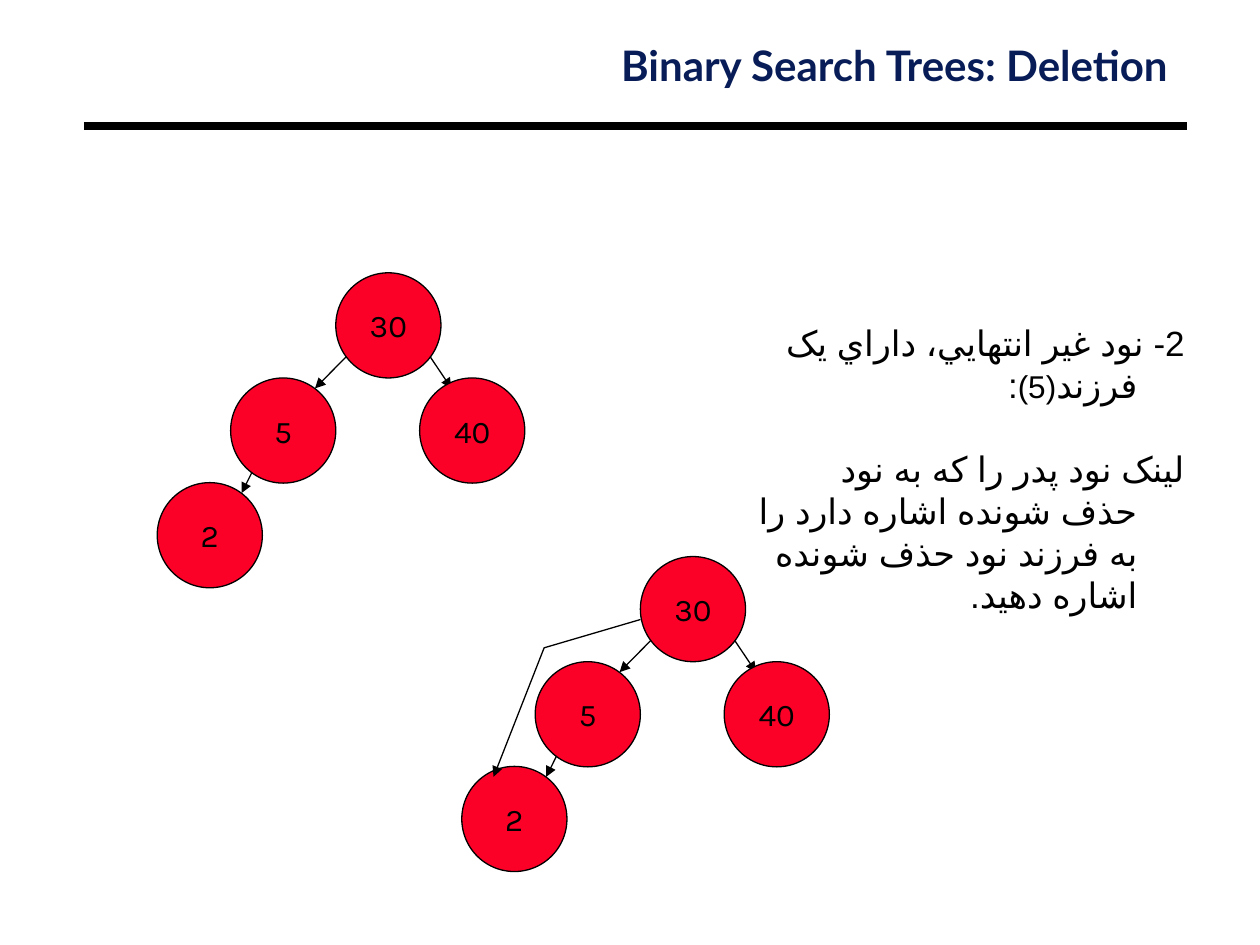
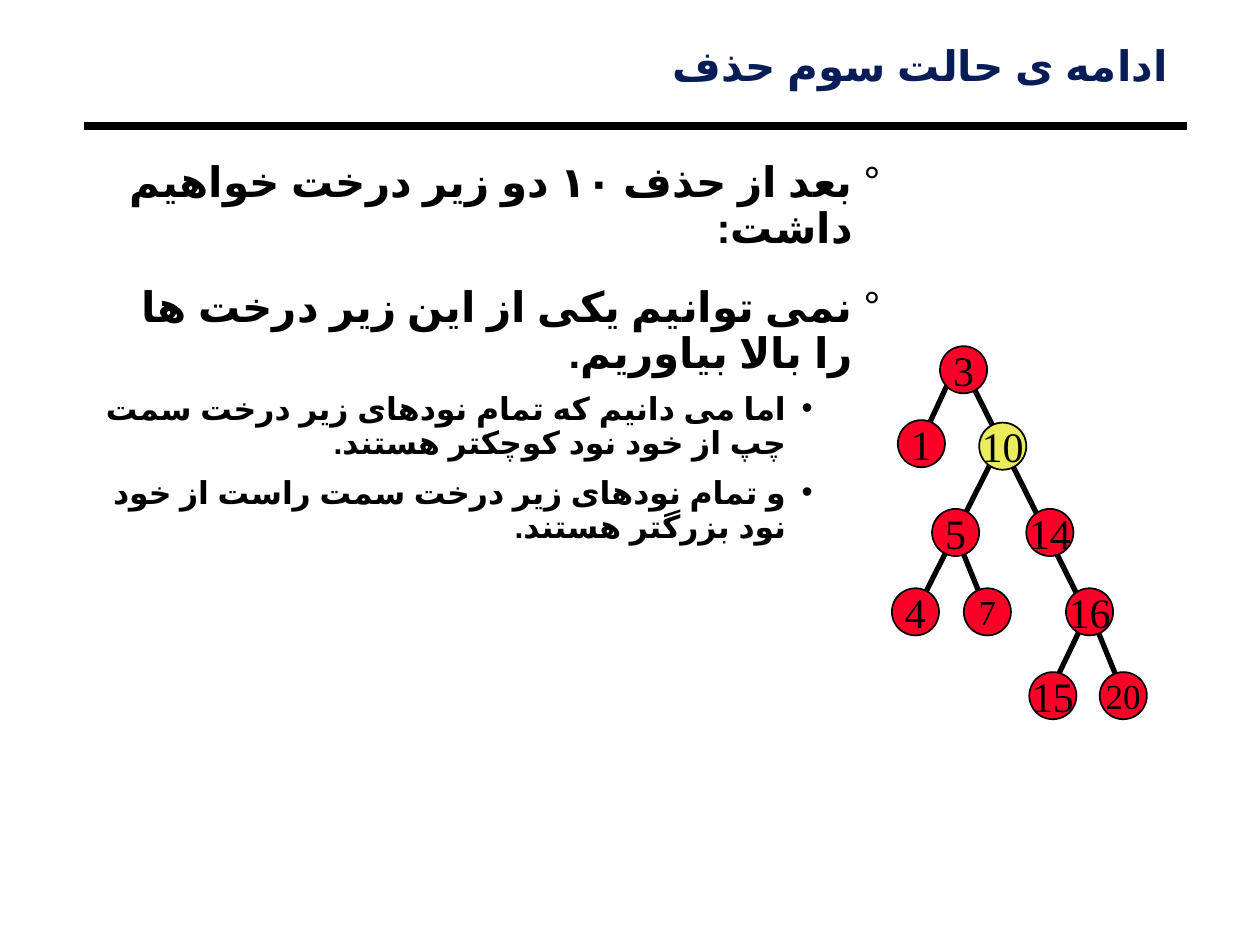
from lxml.etree import SubElement
from pptx import Presentation
from pptx.dml.color import RGBColor
from pptx.enum.shapes import MSO_CONNECTOR, MSO_SHAPE
from pptx.enum.text import MSO_ANCHOR, MSO_AUTO_SIZE, PP_ALIGN
from pptx.oxml.ns import qn
from pptx.util import Cm, Pt

NAVY = RGBColor(0x08, 0x1D, 0x58)
BLACK = RGBColor(0, 0, 0)
RED = RGBColor(0xFC, 0x01, 0x28)
YELLOW = RGBColor(0xEA, 0xEC, 0x5E)

# Root-relative places, in cm, of the small deletion tree
ROOTS = [(6.77, 5.5), (12.91, 11.22)]
LEFT = [("30", 0, 0), ("5", -2.12, 2.12), ("2", -3.6, 4.23)]
RIGHT = ("40", 1.69, 2.12)
ARROWS = [(0.21, 1.69, -0.42, 2.33), (1.9, 1.69, 2.33, 2.33),
          (-1.69, 4.02, -1.9, 4.44)]
BYPASS = [(0, 1.27), (-1.94, 1.84), (-2.96, 4.44)]

EDGES = [(19.25, 7.42, 18.42, 9.22), (22.02, 12.45, 22.66, 14.02),
         (22.02, 12.17, 21.16, 13.97), (20.07, 9.14, 18.47, 12.32),
         (19.25, 10.74, 19.89, 12.32), (19.48, 7.52, 21.97, 12.5)]
NODES = [("10", 19.74, 8.52), ("5", 18.79, 10.26), ("14", 20.69, 10.26),
         ("4", 17.98, 11.86), ("7", 19.43, 11.86), ("16", 21.49, 11.86),
         ("15", 20.75, 13.55), ("20", 22.17, 13.55), ("1", 18.1, 8.47),
         ("3", 18.95, 6.98)]

CASE = [
    [("2- نود غير انتهايي، داراي يک فرزند", 20, "Karla"),
     ("(5)", 18, "Arial"), (":", 20, "Karla")],
    [("لينک نود پدر را که به نود حذف شونده اشاره دارد را به فرزند ", 20, "Karla"),
     ("نود حذف شونده اشاره دهيد.", 20, "Arial")],
]
POINTS = [
    (0, "بعد از حذف ۱۰ دو زیر درخت خواهیم داشت:"),
    (0, "نمی توانیم یکی از این زیر درخت ها را بالا بیاوریم."),
    (1, "اما می دانیم که تمام نودهای زیر درخت سمت چپ از خود نود کوچکتر هستند."),
    (1, "و تمام نودهای زیر درخت سمت راست از خود نود بزرگتر هستند."),
]
# Per level: margin, hanging indent, space before, size, bullet
LEVELS = [(0.56, 0.56, 19.5, 24, "°"), (1.9, 0.53, 9, 18, "•")]


class Deck:
    def __init__(self):
        self.prs = Presentation()
        self.prs.slide_width, self.prs.slide_height = Cm(25.4), Cm(19.05)

    def start(self, title):
        """Add a slide with its title and the rule below it."""
        slide = self.prs.slides.add_slide(self.prs.slide_layouts[5])
        self.shapes = slide.shapes
        head = self.shapes.title
        head.left, head.top, head.width, head.height = (
            Cm(1.7), Cm(0.86), Cm(22.02), Cm(1.05))
        frame = head.text_frame
        self.inset(frame, 0.18, 0.08)
        frame.auto_size = MSO_AUTO_SIZE.SHAPE_TO_FIT_TEXT
        frame.text = title
        para = frame.paragraphs[0]
        self.rtl(para)
        para.line_spacing = 0.87
        self.style(para.runs[0], 24, "Lato", NAVY, True)
        self.line((1.69, 2.54, 23.92, 2.54), 4.5)

    def inset(self, frame, side, top):
        frame.margin_left = frame.margin_right = Cm(side)
        frame.margin_top = frame.margin_bottom = Cm(top)
        frame.vertical_anchor = MSO_ANCHOR.TOP
        frame.word_wrap = True

    def style(self, run, size, face, color=BLACK, bold=False):
        font = run.font
        font.size, font.name, font.bold = Pt(size), face, bold
        font.color.rgb = color
        props = run._r.get_or_add_rPr()
        props.set("lang", "fa-IR")
        SubElement(props, qn("a:cs"), typeface="Arial")

    def rtl(self, para, margin=0, hang=0):
        para.alignment = PP_ALIGN.RIGHT
        props = para._p.get_or_add_pPr()
        props.set("rtl", "1")
        props.set("marL", str(Cm(margin)))
        props.set("indent", str(-Cm(hang)))
        return props

    def bullet(self, props, mark):
        color = SubElement(props, qn("a:buClr"))
        SubElement(color, qn("a:srgbClr"), val=str(BLACK))
        SubElement(props, qn("a:buFont"), typeface="Arial")
        SubElement(props, qn("a:buChar"), char=mark)

    def box(self, x, y, w, h, side=0.25, top=0.13):
        frame = self.shapes.add_textbox(Cm(x), Cm(y), Cm(w), Cm(h)).text_frame
        self.inset(frame, side, top)
        return frame

    def paras(self, frame, items):
        """Yield each item with a paragraph of its own."""
        for i, item in enumerate(items):
            yield i, item, frame.add_paragraph() if i else frame.paragraphs[0]

    def prose(self, frame, items):
        for i, parts, para in self.paras(frame, items):
            self.rtl(para, 0.95, 0.95)
            if i:
                para.space_before = Pt(24)
            for text, size, face in parts:
                run = para.add_run()
                run.text = text
                self.style(run, size, face)

    def points(self, frame, items):
        for i, (level, text), para in self.paras(frame, items):
            margin, hang, gap, size, mark = LEVELS[level]
            para.text = text
            para.level = level
            self.bullet(self.rtl(para, margin, hang), mark)
            para.line_spacing = 0.9
            para.space_before = Pt(gap if i else 0)
            self.style(para.runs[0], size, "Roboto", bold=True)

    def stroke(self, line, width, arrow=False):
        line.color.rgb = BLACK
        line.width = Pt(width)
        if arrow:
            SubElement(line._get_or_add_ln(), qn("a:tailEnd"), type="triangle")

    def line(self, ends, width, arrow=False):
        link = self.shapes.add_connector(
            MSO_CONNECTOR.STRAIGHT, *[Cm(v) for v in ends])
        self.stroke(link.line, width, arrow)
        SubElement(link._element.spPr, qn("a:effectLst"))

    def bent(self, spots):
        """Draw an open polyline that ends in an arrowhead."""
        first, *rest = [(Cm(x), Cm(y)) for x, y in spots]
        pen = self.shapes.build_freeform(*first)
        pen.add_line_segments(rest, close=False)
        shape = pen.convert_to_shape()
        shape.fill.background()
        self.stroke(shape.line, 0.75, True)
        shape.shadow.inherit = False

    def node(self, text, x, y, width, size, face, edge, fill=RED):
        shape = self.shapes.add_shape(
            MSO_SHAPE.OVAL, Cm(x), Cm(y), Cm(width), Cm(width))
        shape.shadow.inherit = False
        shape.fill.solid()
        shape.fill.fore_color.rgb = fill
        self.stroke(shape.line, edge)
        frame = shape.text_frame
        self.inset(frame, 0.25, 0.13)
        frame.vertical_anchor = MSO_ANCHOR.MIDDLE
        frame.word_wrap = False
        frame.text = text
        para = frame.paragraphs[0]
        para.alignment = PP_ALIGN.CENTER
        self.style(para.runs[0], size, face)

    def tree(self, x, y):
        """Draw the four-node tree with its root at x, y."""
        def place(name, dx, dy):
            self.node(name, x + dx, y + dy, 2.12, 18, "Karla", 0.75)

        for item in LEFT:
            place(*item)
        for x1, y1, x2, y2 in ARROWS:
            self.line((x + x1, y + y1, x + x2, y + y2), 0.75, True)
        place(*RIGHT)


def main():
    deck = Deck()

    deck.start("Binary Search Trees: Deletion")
    deck.prose(deck.box(15.03, 6.35, 9.1, 6.2), CASE)
    for root in ROOTS:
        deck.tree(*root)
    x, y = ROOTS[-1]
    deck.bent([(x + dx, y + dy) for dx, dy in BYPASS])

    deck.start("ادامه ی حالت سوم حذف")
    deck.points(deck.box(1.9, 3.18, 16.03, 7.87, 0.18, 0.08), POINTS)
    for edge in EDGES:
        deck.line(edge, 3)
    for name, x, y in NODES:
        size = 20 if name in ("7", "20") else 24
        fill = YELLOW if name == "10" else RED
        deck.node(name, x, y, 0.95, size, "Times New Roman", 1, fill)

    deck.prs.save("out.pptx")


if __name__ == "__main__":
    main()
